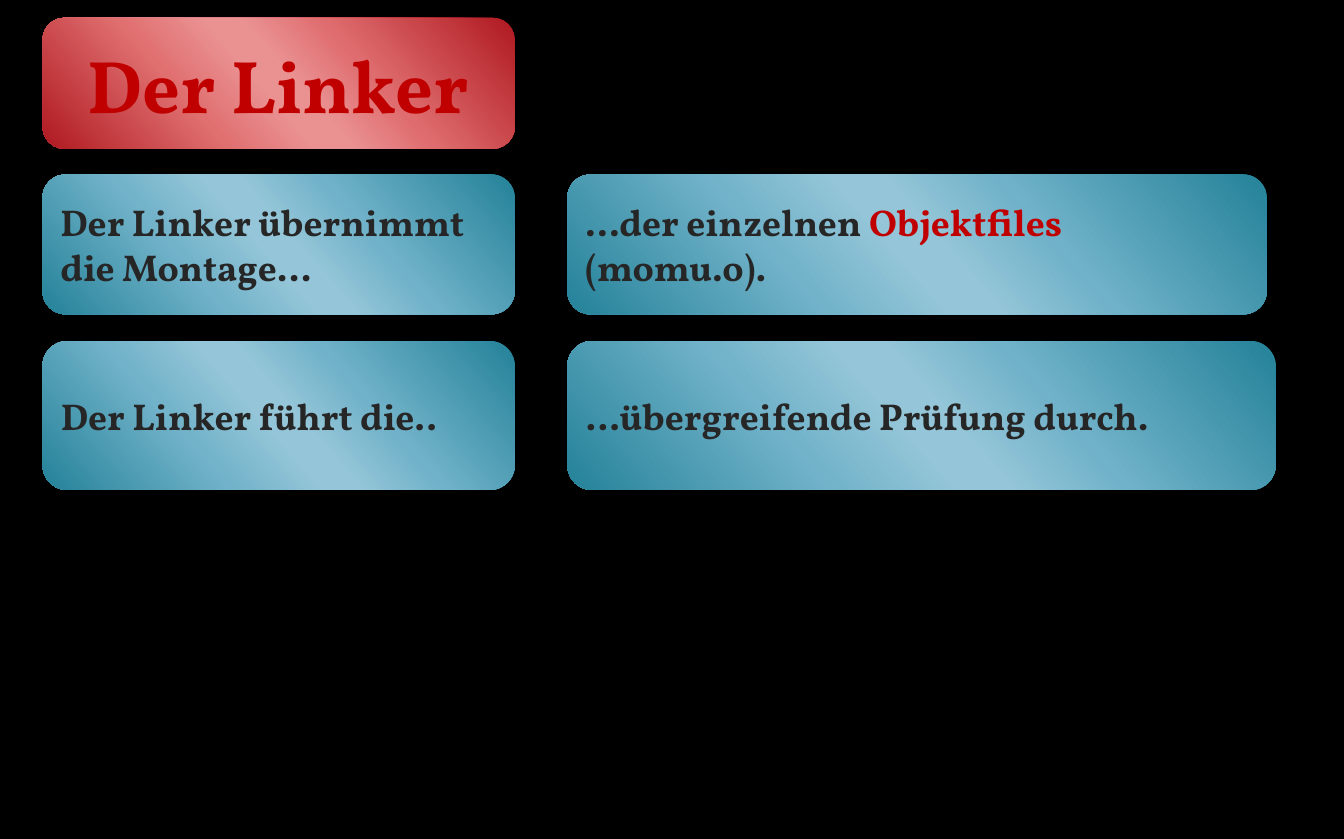
from copy import deepcopy

from pptx import Presentation
from pptx.dml.color import RGBColor
from pptx.enum.shapes import MSO_SHAPE
from pptx.enum.text import MSO_ANCHOR, PP_ALIGN
from pptx.oxml.ns import qn
from pptx.util import Inches, Pt

ROUNDED = MSO_SHAPE.ROUNDED_RECTANGLE
MIDDLE = MSO_ANCHOR.MIDDLE
LEFT, CENTER = PP_ALIGN.LEFT, PP_ALIGN.CENTER

BLACK = RGBColor(0x00, 0x00, 0x00)
INK = RGBColor(0x26, 0x26, 0x26)
ACCENT = RGBColor(0xC0, 0x00, 0x00)

# Gradient colours: edge, rising, centre, falling
RED = [RGBColor(0xAF, 0x19, 0x20), RGBColor(0xDF, 0x6D, 0x6F),
       RGBColor(0xEA, 0x91, 0x92), RGBColor(0xE0, 0x6F, 0x70)]
TEAL = [RGBColor(0x24, 0x82, 0x99), RGBColor(0x70, 0xB2, 0xC9),
        RGBColor(0x94, 0xC5, 0xD8), RGBColor(0x72, 0xB3, 0xCA)]
GRADIENT_POSITIONS = [0, 0.33, 0.47, 0.53, 0.68, 1]
GRADIENT_ANGLE = 221  # counter-clockwise

TITLE_FONT = {"name": "Vollkorn", "size": Pt(48), "bold": True}
BODY_FONT = {"name": "Vollkorn", "size": Pt(24), "bold": True}


def fill_gradient(panel, palette):
    edge, rising, centre, falling = palette
    panel.fill.gradient()
    panel.fill.gradient_angle = GRADIENT_ANGLE
    stop_list = panel._element.spPr.find(qn("a:gradFill")).find(qn("a:gsLst"))
    while len(stop_list) < len(GRADIENT_POSITIONS):
        stop_list.append(deepcopy(stop_list[0]))
    colors = [edge, rising, centre, centre, falling, edge]
    for stop, position, color in zip(panel.fill.gradient_stops, GRADIENT_POSITIONS, colors):
        stop.position = position
        stop.color.rgb = color


# Slide with black background
prs = Presentation()
prs.slide_width, prs.slide_height = Inches(12.01), Inches(7.5)
slide = prs.slides.add_slide(prs.slide_layouts[6])
slide.background.fill.solid()
slide.background.fill.fore_color.rgb = BLACK

# Columns and rows: statements on the left, their endings on the right
SUBJECT_X, SUBJECT_W = 0.38, 4.22
ENDING_X = 5.07
TITLE_ROW = (0.16, 1.17)
ASSEMBLY_ROW = (1.56, 1.25)
CHECK_ROW = (3.05, 1.33)

panels = [
    (SUBJECT_X, SUBJECT_W, TITLE_ROW, RED, TITLE_FONT, CENTER,
     [("Der Linker", ACCENT)]),
    (SUBJECT_X, SUBJECT_W, ASSEMBLY_ROW, TEAL, BODY_FONT, LEFT,
     [("Der Linker übernimmt die Montage...", INK)]),
    (SUBJECT_X, SUBJECT_W, CHECK_ROW, TEAL, BODY_FONT, LEFT,
     [("Der Linker führt die..", INK)]),
    (ENDING_X, 6.25, ASSEMBLY_ROW, TEAL, BODY_FONT, LEFT,
     [("...der einzelnen ", INK), ("Objektfiles", ACCENT), (" (momu.o).", INK)]),
    (ENDING_X, 6.33, CHECK_ROW, TEAL, BODY_FONT, LEFT,
     [("...übergreifende Prüfung durch.", INK)]),
]

# Rounded panels with their text
for x, width, (y, height), palette, font_format, alignment, phrases in panels:
    panel = slide.shapes.add_shape(
        ROUNDED, Inches(x), Inches(y), Inches(width), Inches(height))
    panel.shadow.inherit = False
    panel.line.fill.background()
    fill_gradient(panel, palette)

    panel.text_frame.word_wrap = True
    panel.text_frame.vertical_anchor = MIDDLE
    paragraph = panel.text_frame.paragraphs[0]
    paragraph.alignment = alignment
    for phrase, color in phrases:
        run = paragraph.add_run()
        run.text = phrase
        run.font.color.rgb = color
        for attribute, value in font_format.items():
            setattr(run.font, attribute, value)

prs.save("out.pptx")
